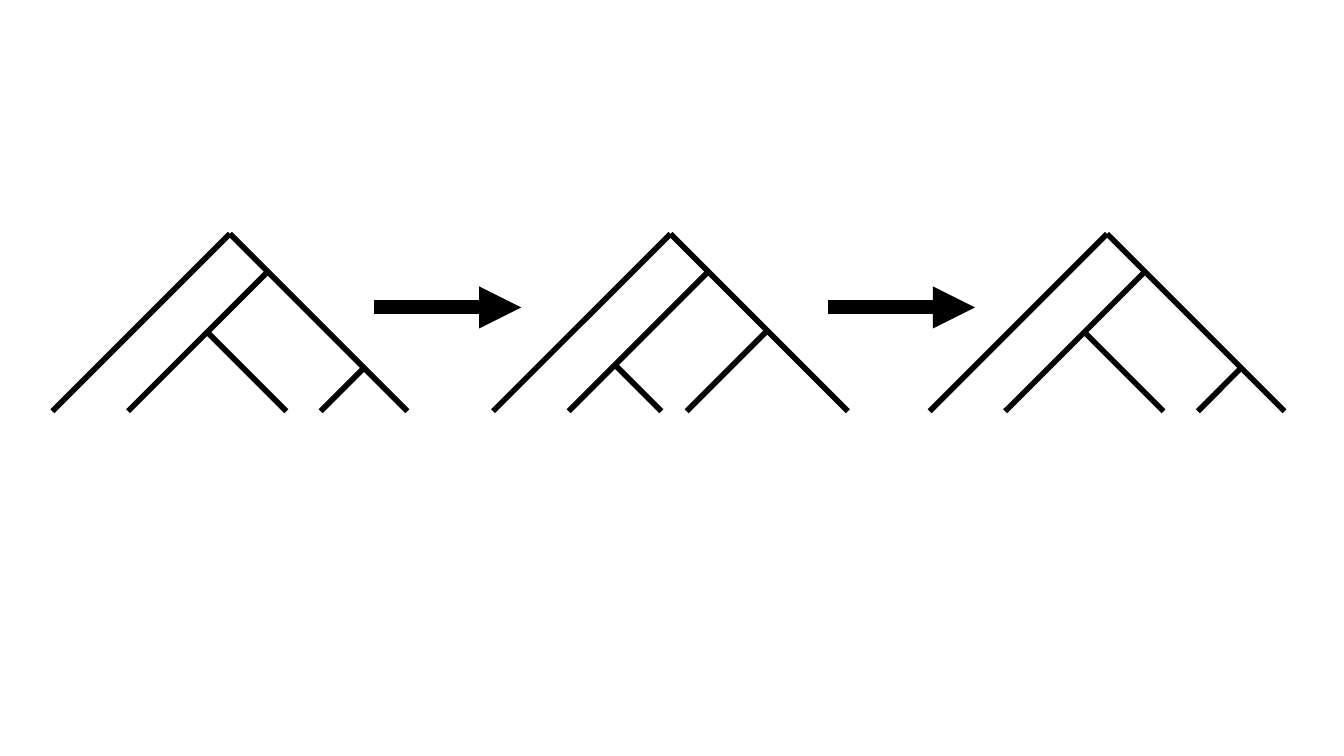
from lxml import etree
from pptx import Presentation
from pptx import util as u
from pptx.dml.color import RGBColor
from pptx.enum import shapes
from pptx.oxml.ns import qn

PX = 9144  # EMU per px, 100 px to the inch
BASE, HEIGHT = 408, 176  # leaf level and height of every tree


def colour(value):
    return RGBColor.from_string(value)


class TreeSlide:
    ink = "000000"
    branch_width = 4
    arrow_width = 10

    def __init__(self, deck):
        self.page = deck.slides.add_slide(deck.slide_layouts[6])
        self.group = self.page.shapes.add_group_shape()

    def line(self, start, end, width):
        points = [value * PX for value in (*start, *end)]
        line = self.group.shapes.add_connector(shapes.MSO_CONNECTOR.STRAIGHT, *points)
        line.line.color.rgb = colour(self.ink)
        line.line.width = u.Pt(width)
        etree.SubElement(line._element.spPr, qn("a:effectLst"))
        return line

    def branch(self, leaf, rise, lean):
        """Draw a 45 degree branch up from a leaf; lean 1 is right, -1 left."""
        self.line((leaf, BASE), (leaf + lean * rise, BASE - rise), self.branch_width)

    def tree(self, left, twigs):
        outline = [(0, HEIGHT, 1), (2 * HEIGHT, HEIGHT, -1), (75, 140, 1)]
        for leaf, rise, lean in outline + twigs:
            self.branch(left + leaf, rise, lean)

    def arrow(self, left, length=146, level=305):
        arrow = self.line((left, level), (left + length, level), self.arrow_width)
        etree.SubElement(arrow.line._get_or_add_ln(), qn("a:tailEnd"), type="triangle")


def main():
    deck = Presentation()
    deck.slide_width, deck.slide_height = 1333 * PX, 750 * PX
    slide = TreeSlide(deck)

    # Twigs as leaf offset, rise and lean
    left_first = [(266, 44, 1), (232, 78, -1)]
    right_first = [(192, 79, 1), (167, 47, -1)]

    # Three trees in sequence
    for left, twigs in ((52, left_first), (489, right_first), (922, left_first)):
        slide.tree(left, twigs)

    # Arrows between the trees
    for left in (371, 821):
        slide.arrow(left)

    deck.save("out.pptx")


if __name__ == "__main__":
    main()
